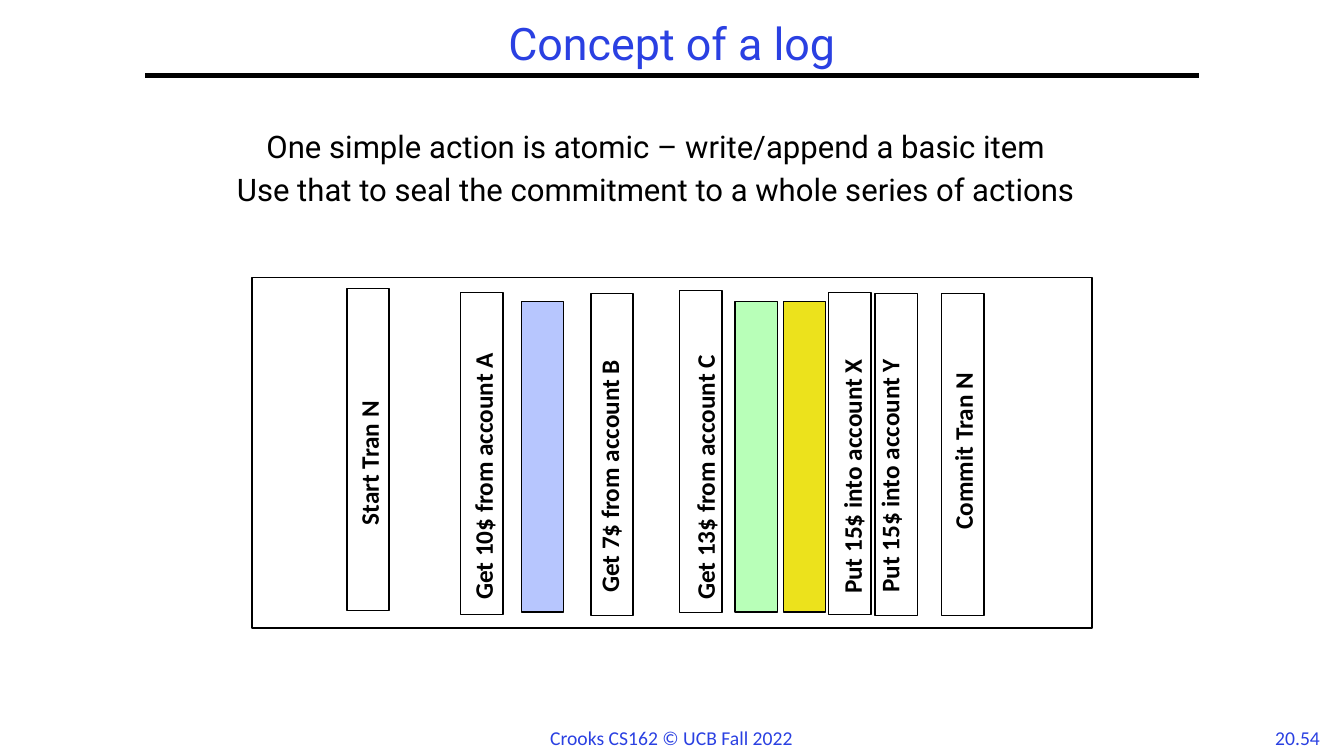
from lxml import etree
from pptx import Presentation
from pptx.dml.color import RGBColor
from pptx.enum.shapes import MSO_CONNECTOR, MSO_SHAPE
from pptx.enum.text import MSO_ANCHOR, MSO_AUTO_SIZE, PP_ALIGN
from pptx.oxml.ns import qn
from pptx.util import Inches, Pt

RECTANGLE = MSO_SHAPE.RECTANGLE
STRAIGHT = MSO_CONNECTOR.STRAIGHT
LEFT, CENTER = PP_ALIGN.LEFT, PP_ALIGN.CENTER
MIDDLE, TOP = MSO_ANCHOR.MIDDLE, MSO_ANCHOR.TOP
FIXED_SIZE = MSO_AUTO_SIZE.NONE

COLORS = {
    "black": "000000",
    "white": "FFFFFF",
    "heading": "2A40E2",
    "blue": "B7C6FE",
    "green": "B8FFB8",
    "yellow": "ECE21C",
}

ENTRY_WIDTH, ENTRY_HEIGHT = 0.42, 3.2
OTHER_TOP, OTHER_HEIGHT = 0.24, 3.08
LABEL_HEIGHT = 0.4

# Offsets from the log's corner: entry left, entry top,
# label centre, label bottom, label length
LOG_ENTRIES = [
    ("Start Tran N", 0.94, 0.11, 1.16, 2.56, 1.63),
    ("Get 10$ from account A", 2.07, 0.15, 2.29, 3.3, 3.03),
    ("Get 7$ from account B", 3.36, 0.16, 3.54, 3.23, 2.89),
    ("Get 13$ from account C", 4.24, 0.13, 4.49, 3.3, 3.03),
    ("Put 15$ into account X", 5.72, 0.15, 5.95, 3.24, 2.91),
    ("Put 15$ into account Y", 6.18, 0.16, 6.32, 3.23, 2.9),
    ("Commit Tran N", 6.84, 0.16, 7.05, 2.6, 2.06),
]
OTHER_ENTRIES = [("blue", 2.67), ("green", 4.79), ("yellow", 5.27)]


def rgb(name):
    return RGBColor.from_string(COLORS[name])


def place(shape, left, top, width, height):
    shape.left, shape.top = Inches(left), Inches(top)
    shape.width, shape.height = Inches(width), Inches(height)


def format_paragraph(paragraph, font_name, size, color, align, bold=False):
    paragraph.alignment = align
    font = paragraph.font
    font.name, font.size, font.bold = font_name, Pt(size), bold
    font.color.rgb = rgb(color)


def add_label(slide, text, box, size, color, align, bold=False):
    label = slide.shapes.add_textbox(*map(Inches, box))
    frame = label.text_frame
    frame.word_wrap = True
    frame.text = text
    format_paragraph(frame.paragraphs[0], "Calibri", size, color, align, bold)
    return label


def add_rectangle(slide, left, top, width, height, fill=None):
    rectangle = slide.shapes.add_shape(
        RECTANGLE, Inches(left), Inches(top), Inches(width), Inches(height))
    rectangle.shadow.inherit = False
    if fill:
        rectangle.fill.solid()
        rectangle.fill.fore_color.rgb = rgb(fill)
    else:
        rectangle.fill.background()
    rectangle.line.color.rgb = rgb("black")
    rectangle.line.width = Pt(1)


def fill_title(slide, left, top, width, height):
    """Set the title and the rule along its lower edge."""
    title = slide.shapes.title
    place(title, left, top, width, height)
    frame = title.text_frame
    frame.text = "Concept of a log"
    frame.vertical_anchor = MIDDLE
    frame.auto_size = FIXED_SIZE
    paragraph = frame.paragraphs[0]
    paragraph.line_spacing = 0.9
    format_paragraph(paragraph, "Roboto", 32, "heading", CENTER)

    bottom = Inches(top + height)
    rule = slide.shapes.add_connector(
        STRAIGHT, Inches(left), bottom, Inches(left + width), bottom)
    rule.line.color.rgb = rgb("black")
    rule.line.width = Pt(3)
    properties = rule._element.find(qn("p:spPr"))
    etree.SubElement(properties, qn("a:effectLst"))


def fill_body(slide, left, top, width, height):
    body = slide.placeholders[1]
    place(body, left, top, width, height)
    frame = body.text_frame
    frame.text = (
        "One simple action is atomic – write/append a basic item\n"
        "Use that to seal the commitment to a whole series of actions")
    frame.vertical_anchor = TOP
    frame.auto_size = FIXED_SIZE
    for index, paragraph in enumerate(frame.paragraphs):
        paragraph.line_spacing = 0.9
        paragraph.space_before = Pt(6.7 if index else 0)
        properties = paragraph._p.get_or_add_pPr()
        properties.set("marL", "0")
        properties.set("indent", "0")
        etree.SubElement(properties, qn("a:buNone"))
        format_paragraph(paragraph, "Roboto", 22.2, "black", CENTER)


def add_log(slide, left, top, width, height):
    """Draw the log with this transaction's entries among those of others."""
    add_rectangle(slide, left, top, width, height, "white")
    for color, offset in OTHER_ENTRIES:
        add_rectangle(slide, left + offset, top + OTHER_TOP,
                      ENTRY_WIDTH, OTHER_HEIGHT, color)
    for text, entry_left, entry_top, center, bottom, length in LOG_ENTRIES:
        add_rectangle(slide, left + entry_left, top + entry_top,
                      ENTRY_WIDTH, ENTRY_HEIGHT)
        label_box = (left + center - length / 2,
                     top + bottom - length / 2 - LABEL_HEIGHT / 2,
                     length, LABEL_HEIGHT)
        label = add_label(slide, text, label_box, 18, "black", LEFT, bold=True)
        label.rotation = 270


def add_footer(slide, left, top, width, height):
    """Centre the course line and put the slide number at the right end."""
    add_label(slide, "Crooks CS162 © UCB Fall 2022",
              (left, top, width, height), 14, "heading", CENTER)
    number_width = 0.8
    add_label(slide, "20.54",
              (left + width - number_width, top, number_width, height),
              14, "heading", CENTER)


def main():
    presentation = Presentation()
    presentation.slide_width = Inches(13.33)
    presentation.slide_height = Inches(7.5)
    slide = presentation.slides.add_slide(presentation.slide_layouts[1])
    fill_title(slide, 1.44, 0.17, 10.45, 0.58)
    fill_body(slide, 0.67, 1.26, 11.67, 1.5)
    add_log(slide, 2.5, 2.75, 8.33, 3.48)
    add_footer(slide, 0.05, 7.15, 13.22, 0.34)
    presentation.save("out.pptx")


if __name__ == "__main__":
    main()
